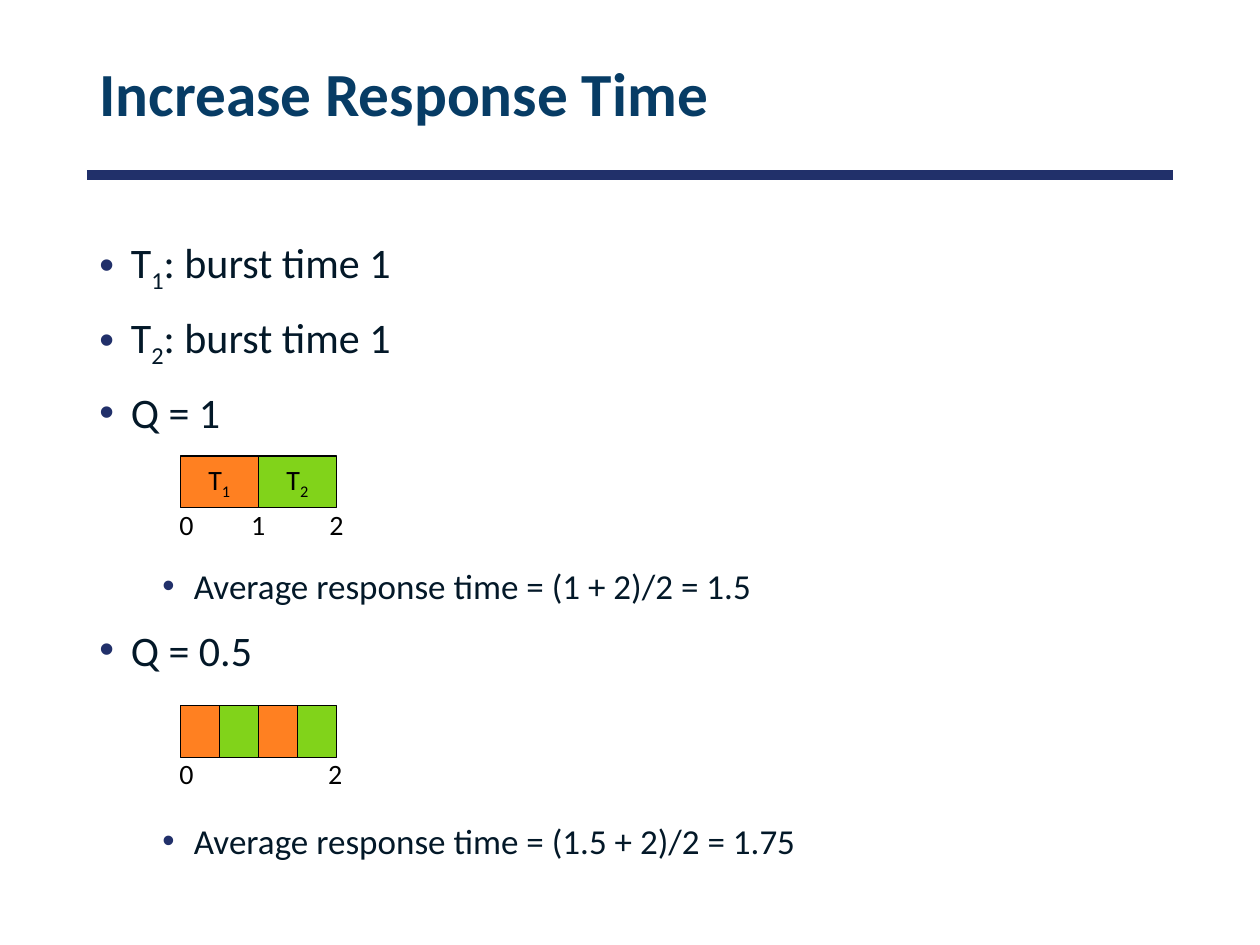
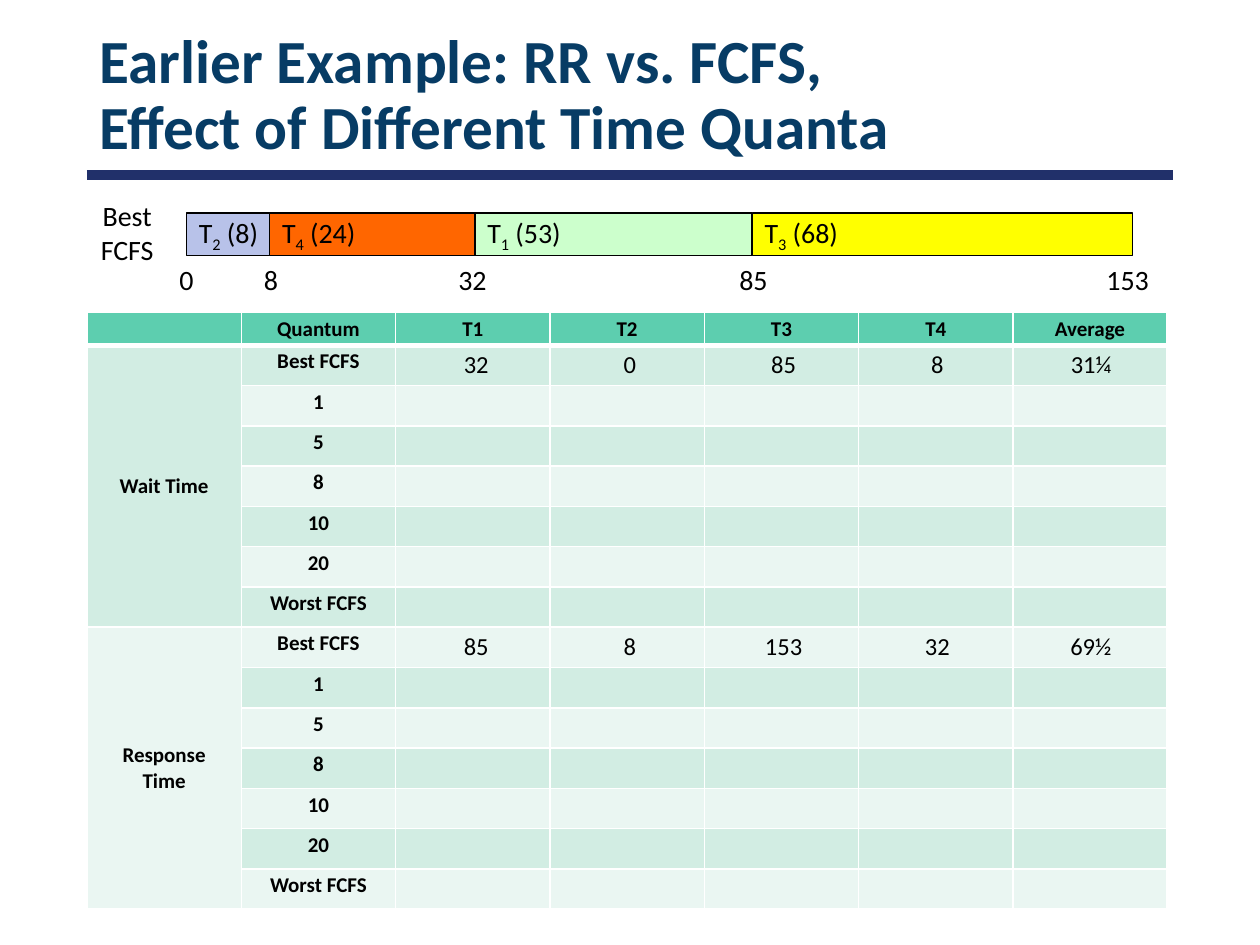
import dataclasses
import itertools

import lxml.etree
import pptx
import pptx.dml.color
import pptx.enum.shapes
import pptx.enum.text
import pptx.oxml.ns
import pptx.util

Inches, Pt = pptx.util.Inches, pptx.util.Pt
qn = pptx.oxml.ns.qn
ALIGN, ANCHOR = pptx.enum.text.PP_ALIGN, pptx.enum.text.MSO_ANCHOR
NO_GRID_STYLE = "{2D5ABB26-0587-4C30-8999-92F81FD0307C}"


@dataclasses.dataclass(frozen=True)
class Theme:
    font: str = "Calibri"
    title: str = "073C65"
    body: str = "031828"
    accent: str = "21306A"
    black: str = "000000"
    white: str = "FFFFFF"
    orange: str = "FF8021"
    green: str = "81D31A"
    lavender: str = "B8C2E9"
    red: str = "FF6600"
    mint: str = "CCFFCC"
    yellow: str = "FFFF00"
    header: str = "5DCEAF"
    bands: tuple = ("D2EDE3", "EAF6F2")
    title_size: int = 35
    body_sizes: tuple = (24, 20)
    label_size: int = 16
    value_size: int = 14
    head_size: int = 12


def rgb(color):
    return pptx.dml.color.RGBColor.from_string(color)


def write(p, text, size=16, color="000000", font="Calibri", bold=False,
          align=ALIGN.LEFT, before=0, spacing=1.0):
    """Fill a paragraph; "_" lowers the next character, a newline breaks the line."""
    p.alignment, p.space_before, p.line_spacing = align, Pt(before), spacing

    def add(part, lowered=False):
        r = p.add_run()
        r.text = part
        r.font.size, r.font.name, r.font.bold = Pt(size), font, bold
        r.font.color.rgb = rgb(color)
        if lowered:
            r._r.get_or_add_rPr().set("baseline", "-25000")

    for i, line in enumerate(text.split("\n")):
        if i:
            p.add_line_break()
            lxml.etree.SubElement(p._p.findall(qn("a:br"))[-1], qn("a:rPr"),
                                  sz=str(size * 100))
        plain, *lowered = line.split("_")
        if plain:
            add(plain)
        for part in lowered:
            add(part[0], lowered=True)
            if part[1:]:
                add(part[1:])


def set_bullet(p, level, color):
    pPr = p._p.get_or_add_pPr()
    pPr.set("marL", str(Inches(0.25 + 0.5 * level)))
    pPr.set("indent", str(Inches(-0.25)))
    if level:
        pPr.set("lvl", str(level))
    clr = lxml.etree.SubElement(pPr, qn("a:buClr"))
    lxml.etree.SubElement(clr, qn("a:srgbClr"), val=color)
    lxml.etree.SubElement(pPr, qn("a:buFont"), typeface="Arial")
    lxml.etree.SubElement(pPr, qn("a:buChar"), char="•")


def set_borders(cell, color, bottom=1):
    for side, width in (("L", 1), ("R", 1), ("T", 1), ("B", bottom)):
        ln = lxml.etree.SubElement(cell._tc.get_or_add_tcPr(), qn("a:ln" + side),
                                   w=str(Pt(width)))
        fill = lxml.etree.SubElement(ln, qn("a:solidFill"))
        lxml.etree.SubElement(fill, qn("a:srgbClr"), val=color)


class Deck:
    def __init__(self, theme):
        self.theme = theme
        self.prs = pptx.Presentation()
        self.prs.slide_width, self.prs.slide_height = Inches(10), Inches(7.5)
        self.s = None

    def slide(self, title):
        t = self.theme
        self.s = self.prs.slides.add_slide(self.prs.slide_layouts[6])
        rule = self.s.shapes.add_connector(
            pptx.enum.shapes.MSO_CONNECTOR.STRAIGHT,
            Inches(0.69), Inches(1.39), Inches(9.31), Inches(1.39))
        rule.line.color.rgb, rule.line.width = rgb(t.accent), Pt(6)
        lxml.etree.SubElement(rule._element.spPr, qn("a:effectLst"))
        self.text(title, 0.69, 0.23, 8.62, 1.08, wrap=True, size=t.title_size,
                  color=t.title, bold=True, spacing=0.9)

    def text(self, text, x, y, w, h, wrap=False, anchor=ANCHOR.MIDDLE, **fmt):
        sp = self.s.shapes.add_textbox(Inches(x), Inches(y), Inches(w), Inches(h))
        tf = sp.text_frame
        tf.word_wrap, tf.vertical_anchor = wrap, anchor
        write(tf.paragraphs[0], text, font=self.theme.font, **fmt)

    def bullets(self, items, x, y, w, h):
        """Items are (level, text, points above)."""
        t = self.theme
        sp = self.s.shapes.add_textbox(Inches(x), Inches(y), Inches(w), Inches(h))
        tf = sp.text_frame
        tf.word_wrap = True
        for i, (level, text, before) in enumerate(items):
            p = tf.add_paragraph() if i else tf.paragraphs[0]
            write(p, text, size=t.body_sizes[level], color=t.body, font=t.font,
                  before=before)
            set_bullet(p, level, t.accent)

    def box(self, x, y, w, h, fill, text="", align=ALIGN.CENTER):
        t = self.theme
        sp = self.s.shapes.add_shape(pptx.enum.shapes.MSO_SHAPE.RECTANGLE,
                                     Inches(x), Inches(y), Inches(w), Inches(h))
        sp.shadow.inherit = False
        sp.fill.solid()
        sp.fill.fore_color.rgb = rgb(fill)
        sp.line.color.rgb, sp.line.width = rgb(t.black), Pt(0.75)
        if text:
            tf = sp.text_frame
            tf.word_wrap, tf.vertical_anchor = False, ANCHOR.MIDDLE
            write(tf.paragraphs[0], text, size=t.label_size, color=t.black,
                  font=t.font, align=align)

    def gantt(self, x, y, h, bars, align=ALIGN.CENTER):
        """Lay (text, width, fill) bars end to end."""
        starts = itertools.accumulate((w for _, w, _ in bars), initial=x)
        for left, (text, w, fill) in zip(starts, bars):
            self.box(left, y, w, h, fill, text, align)

    def ticks(self, y, h, marks):
        """Centre each (text, x) mark on its x."""
        for text, x in marks:
            w = 0.22 + 0.12 * len(text)
            self.text(text, x - w / 2, y, w, h, size=self.theme.label_size,
                      color=self.theme.black, align=ALIGN.CENTER)

    def table(self, x, y, col_width, row_heights, rows, size, pad, bold=False):
        """Add an unfilled, borderless grid of centred text and return it."""
        t = self.theme
        frame = self.s.shapes.add_table(
            len(rows), len(rows[0]), Inches(x), Inches(y),
            Inches(col_width * len(rows[0])), Inches(sum(row_heights)))
        table = frame.table
        table.first_row = table.horz_banding = False
        table._tbl.tblPr.find(qn("a:tableStyleId")).text = NO_GRID_STYLE
        for column in table.columns:
            column.width = Inches(col_width)
        for row, height, texts in zip(table.rows, row_heights, rows):
            row.height = Inches(height)
            for cell, text in zip(row.cells, texts):
                cell.margin_left = cell.margin_right = Inches(0.13)
                cell.margin_top = cell.margin_bottom = Inches(pad)
                p = cell.text_frame.paragraphs[0]
                if text:
                    write(p, text, size=size, color=t.black, font=t.font,
                          bold=bold, align=ALIGN.CENTER)
                else:
                    p._p.get_or_add_endParaRPr().set("sz", str(size * 100))
        return table


def response_time_slide(deck):
    t = deck.theme
    deck.slide("Increase Response Time")
    deck.bullets([
        (0, "T_1: burst time 1", 10),
        (0, "T_2: burst time 1", 10),
        (0, "Q = 1", 10),
        (1, "Average response time = (1 + 2)/2 = 1.5", 73),
        (0, "Q = 0.5", 10),
        (1, "Average response time = (1.5 + 2)/2 = 1.75", 83),
    ], 0.69, 1.83, 8.62, 5.43)
    deck.gantt(1.43, 3.62, 0.41, [("T_1", 0.62, t.orange), ("T_2", 0.62, t.green)])
    deck.ticks(3.98, 0.37, [("0", 1.48), ("1", 2.05), ("2", 2.67)])
    deck.gantt(1.43, 5.6, 0.41, [("", 0.31, t.orange), ("", 0.31, t.green)] * 2)
    deck.ticks(5.95, 0.37, [("0", 1.48), ("2", 2.66)])


def quanta_slide(deck):
    t = deck.theme
    deck.slide("Earlier Example: RR vs. FCFS,\nEffect of Different Time Quanta")
    deck.gantt(1.48, 1.69, 0.34, [
        ("T_2 (8)", 0.66, t.lavender), ("T_4 (24)", 1.63, t.red),
        ("T_1 (53)", 2.2, t.mint), ("T_3 (68)", 3.02, t.yellow),
    ], ALIGN.LEFT)
    deck.ticks(2.08, 0.28, [("0", 1.48), ("8", 2.15), ("32", 3.75),
                            ("85", 5.98), ("153", 8.95)])
    deck.text("Best\nFCFS", 0.68, 1.53, 0.66, 0.64, anchor=ANCHOR.TOP,
              size=t.label_size, color=t.black, align=ALIGN.CENTER)

    quanta = ["Best FCFS", "1", "5", "8", "10", "20", "Worst FCFS"]
    rows = [["", "Quantum", "T1", "T2", "T3", "T4", "Average"]]
    for measure in ("Wait Time", "Response Time"):
        rows += [[measure if i == 0 else "", quantum] + [""] * 5
                 for i, quantum in enumerate(quanta)]
    heights = [0.26] + [0.32] * (len(rows) - 1)
    table = deck.table(0.69, 2.48, 1.225, heights, rows, t.head_size, 0.03, bold=True)
    for i, row in enumerate(table.rows):
        for cell in row.cells:
            set_borders(cell, t.white, bottom=1 if i else 3)
            cell.fill.solid()
            cell.fill.fore_color.rgb = rgb(t.bands[(i - 1) % 2] if i else t.header)
    for first in (1, 1 + len(quanta)):
        measure = table.cell(first, 0)
        measure.merge(table.cell(first + len(quanta) - 1, 0))
        measure.vertical_anchor = ANCHOR.MIDDLE

    for y, values in ((2.74, ["32", "0", "85", "8", "31¼"]),
                      (4.98, ["85", "8", "153", "32", "69½"])):
        deck.table(3.17, y, 1.22, [0.31], [values], t.value_size, 0.04)


def main():
    deck = Deck(Theme())
    response_time_slide(deck)
    quanta_slide(deck)
    deck.prs.save("out.pptx")


if __name__ == "__main__":
    main()
